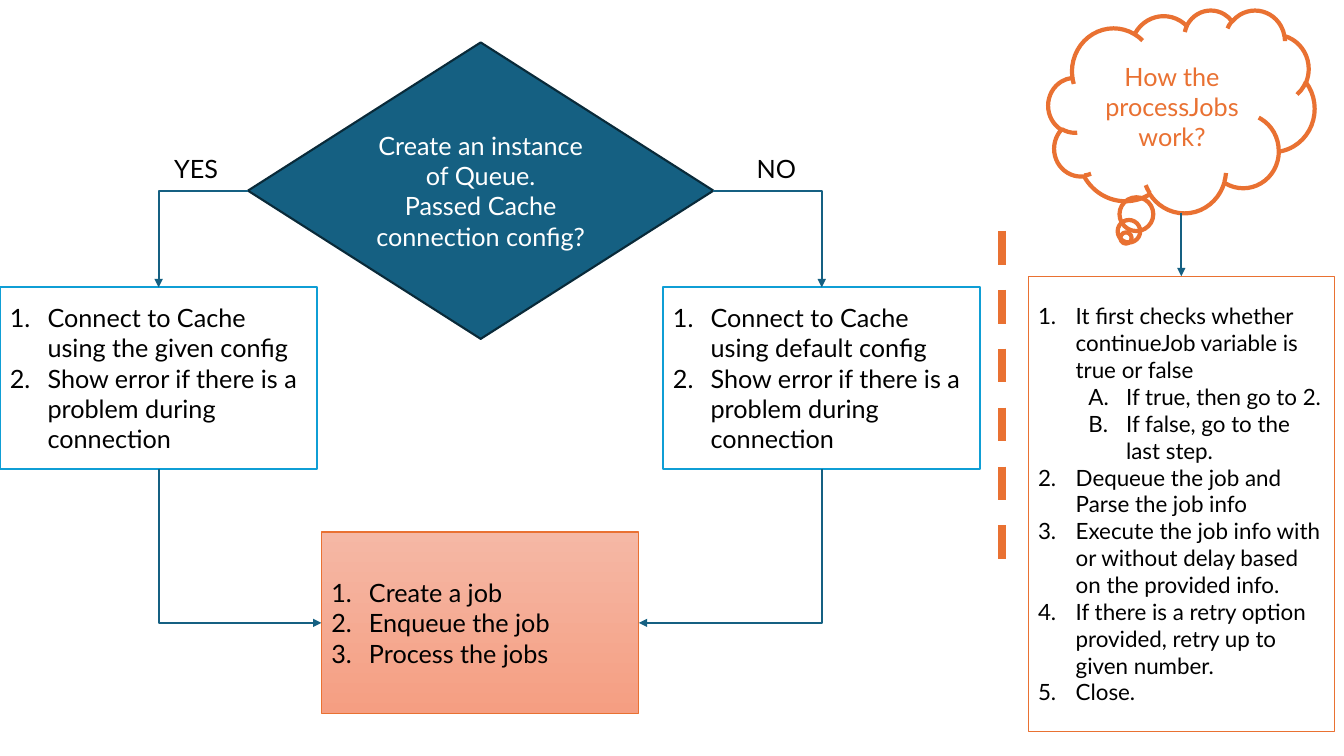
from dataclasses import dataclass

from lxml.etree import SubElement
from pptx import Presentation
from pptx.dml.color import RGBColor
from pptx.enum.dml import MSO_LINE
from pptx.enum.shapes import MSO_CONNECTOR, MSO_SHAPE
from pptx.enum.text import MSO_ANCHOR, MSO_AUTO_SIZE, PP_ALIGN
from pptx.oxml.ns import qn
from pptx.util import Cm, Pt


@dataclass(frozen=True)
class Theme:
    font: str = "Lato"
    body: int = 18
    small: int = 16
    teal: str = "156082"
    navy: str = "092A39"
    sky: str = "0F9ED5"
    orange: str = "E97132"
    peach: tuple = ("F5B8A5", "F59E82")
    white: str = "FFFFFF"
    black: str = "000000"


def apply(target, values):
    for name, value in values.items():
        setattr(target, name, value)


def middle(shape):
    return shape.left + shape.width // 2, shape.top + shape.height // 2


class FlowSlide:
    def __init__(self, presentation, theme):
        self.theme = theme
        self.slide = presentation.slides.add_slide(presentation.slide_layouts[6])

    def style_line(self, line, color, width, dash=None):
        line.color.rgb = RGBColor.from_string(color)
        apply(line, {"width": Pt(width), "dash_style": dash})

    def add_text(self, frame, items, color, size, align=PP_ALIGN.LEFT, numbered=False):
        for index, item in enumerate(items):
            level, text = item if isinstance(item, tuple) else (0, item)
            paragraph = frame.paragraphs[0] if index == 0 else frame.add_paragraph()
            apply(paragraph, {"alignment": align, "level": level})
            run = paragraph.add_run()
            run.text = text
            apply(run.font, {"name": self.theme.font, "size": Pt(size)})
            run.font.color.rgb = RGBColor.from_string(color)
            if numbered:
                properties = paragraph._p.get_or_add_pPr()
                properties.set("marL", str(Cm(0.95 + 1.27 * level)))
                properties.set("indent", str(-Cm(0.95)))
                scheme = "alphaUcPeriod" if level else "arabicPeriod"
                SubElement(properties, qn("a:buFont"), typeface="+mj-lt")
                SubElement(properties, qn("a:buAutoNum"), type=scheme)

    def node(self, kind, bounds, fill, outline, width, items, color, size=None, **text):
        shape = self.slide.shapes.add_shape(kind, *map(Cm, bounds))
        shape.shadow.inherit = False
        if fill is None:
            shape.fill.background()
        elif isinstance(fill, tuple):
            shape.fill.gradient()
            shape.fill.gradient_angle = 270
            for stop, shade in zip(shape.fill.gradient_stops, fill):
                stop.color.rgb = RGBColor.from_string(shade)
        else:
            shape.fill.solid()
            shape.fill.fore_color.rgb = RGBColor.from_string(fill)
        self.style_line(shape.line, outline, width)
        apply(shape.text_frame, {"word_wrap": True, "vertical_anchor": MSO_ANCHOR.MIDDLE})
        self.add_text(shape.text_frame, items, color, size or self.theme.body, **text)
        return shape

    def question(self, kind, bounds, fill, outline, width, items, color):
        return self.node(kind, bounds, fill, outline, width, items, color, align=PP_ALIGN.CENTER)

    def step_list(self, bounds, fill, outline, width, items, size=None):
        return self.node(MSO_SHAPE.RECTANGLE, bounds, fill, outline, width, items,
                         self.theme.black, size, numbered=True)

    def label(self, bounds, text):
        box = self.slide.shapes.add_textbox(*map(Cm, bounds))
        apply(box.text_frame, {"word_wrap": True, "auto_size": MSO_AUTO_SIZE.SHAPE_TO_FIT_TEXT})
        self.add_text(box.text_frame, [text], self.theme.black, self.theme.body)

    def connector(self, kind, start, end, color, width, dash=None, arrow=True):
        connector = self.slide.shapes.add_connector(kind, *start, *end)
        self.style_line(connector.line, color, width, dash)
        if arrow:
            SubElement(connector.line._get_or_add_ln(), qn("a:tailEnd"), type="triangle")
        SubElement(connector._element.spPr, qn("a:effectLst"))
        return connector

    def elbow(self, start, end, down_first=False):
        connector = self.connector(MSO_CONNECTOR.ELBOW, start, end, self.theme.teal, 1.5)
        properties = connector._element.spPr
        properties.find(qn("a:prstGeom")).set("prst", "bentConnector2")
        if down_first:
            center_x, center_y = middle(connector)
            width, height = connector.height, connector.width
            apply(connector, {"left": center_x - width // 2, "top": center_y - height // 2,
                              "width": width, "height": height})
            rightward = end[0] > start[0]
            transform = properties.find(qn("a:xfrm"))
            transform.set("rot", str((270 if rightward else 90) * 60000))
            transform.set("flipH", str(int(rightward)))


def main():
    presentation = Presentation()
    apply(presentation, {"slide_width": Cm(33.87), "slide_height": Cm(19.05)})
    theme = Theme()
    flow = FlowSlide(presentation, theme)

    decision = flow.question(
        MSO_SHAPE.DIAMOND, (6.25, 1.07, 11.73, 7.47), theme.teal, theme.navy, 1.5,
        ["Create an instance of Queue.", "Passed Cache connection config?"], theme.white)
    jobs = flow.step_list(
        (8.1, 13.41, 8, 4.57), theme.peach, theme.orange, 1,
        ["Create a job", "Enqueue the job", "Process the jobs"])

    branches = [
        (0, "the given config", decision.left, jobs.left),
        (16.71, "default config", decision.left + decision.width, jobs.left + jobs.width),
    ]
    for left, config, decision_side, jobs_side in branches:
        branch = flow.step_list(
            (left, 7.24, 8, 4.57), theme.white, theme.sky, 1.5,
            [f"Connect to Cache using {config}",
             "Show error if there is a problem during connection"])
        center = middle(branch)[0]
        flow.elbow((decision_side, middle(decision)[1]), (center, branch.top))
        flow.elbow((center, branch.top + branch.height), (jobs_side, middle(jobs)[1]), True)

    flow.label((4.14, 3.73, 2.82, 1.02), "YES")
    flow.label((18.82, 3.73, 1.88, 1.02), "NO")
    flow.connector(MSO_CONNECTOR.STRAIGHT, (Cm(25.25), Cm(5.82)), (Cm(25.25), Cm(14.55)),
                   theme.orange, 6, MSO_LINE.DASH, arrow=False)

    cloud = flow.question(
        MSO_SHAPE.CLOUD_CALLOUT, (26.42, 0.25, 6.71, 5.11), None, theme.orange, 3,
        ["How the processJobs work?"], theme.orange)
    process = flow.step_list(
        (25.91, 6.96, 7.72, 11.48), theme.white, theme.orange, 0.75,
        ["It first checks whether continueJob variable is true or false",
         (1, "If true, then go to 2."),
         (1, "If false, go to the last step."),
         "Dequeue the job and Parse the job info",
         "Execute the job info with or without delay based on the provided info.",
         "If there is a retry option provided, retry up to given number.",
         "Close."], theme.small)
    center = middle(process)[0]
    arrow = flow.connector(MSO_CONNECTOR.STRAIGHT, (center, cloud.top + cloud.height),
                           (center, process.top), theme.teal, 1.5)
    arrow.end_connect(process, 0)

    presentation.save("out.pptx")


if __name__ == "__main__":
    main()
